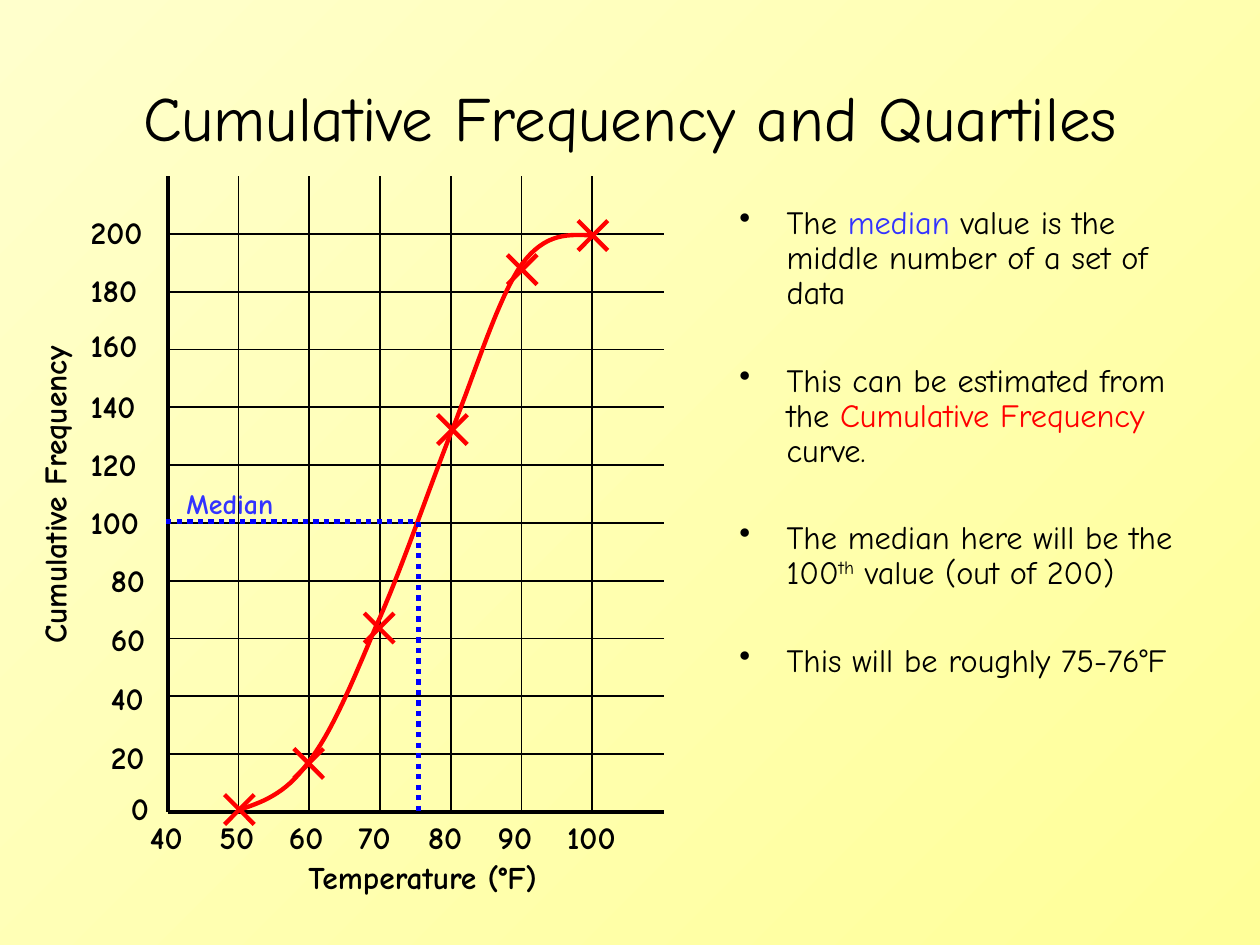
from dataclasses import dataclass

from lxml.etree import SubElement
from pptx import Presentation
from pptx.dml.color import RGBColor as Color
from pptx.enum.dml import MSO_LINE_DASH_STYLE as Dash
from pptx.enum.shapes import MSO_CONNECTOR as Connector
from pptx.enum.text import MSO_ANCHOR as Anchor, PP_ALIGN as Align
from pptx.oxml.ns import qn
from pptx.util import Pt


@dataclass(frozen=True)
class Theme:
    font: str = "Comic Neue"
    ink: str = "000000"
    curve: str = "FF0000"
    guide: str = "0000FF"
    median: str = "3333FF"
    paper: tuple = ("FFFFCC", "FFFF99")
    title_size: float = 36
    body_size: float = 18.5
    label_size: float = 18
    note_size: float = 16
    grid_width: float = 1
    axis_width: float = 2.25
    curve_width: float = 2.5
    guide_width: float = 3


class Page:
    def __init__(self, slide, theme):
        self.slide = slide
        self.theme = theme

    def background(self):
        fill = self.slide.background.fill
        fill.gradient()
        fill.gradient_angle = 315
        for stop, position, color in zip(fill.gradient_stops, (0, 1), self.theme.paper):
            stop.position = position
            stop.color.rgb = Color.from_string(color)

    def style(self, para, size, color, bold=False):
        font = para.font
        font.name, font.size, font.bold = self.theme.font, Pt(size), bold
        font.color.rgb = Color.from_string(color)

    def frame(self, left, top, width, height):
        box = self.slide.shapes.add_textbox(Pt(left), Pt(top), Pt(width), Pt(height))
        box.text_frame.word_wrap = True
        return box.text_frame

    def text(self, words, area, size, color, bold=True, align=Align.LEFT,
             anchor=Anchor.TOP, upward=False):
        frame = self.frame(*area)
        frame.vertical_anchor = anchor
        if upward:
            frame._txBody.bodyPr.set("vert", "vert270")
        para = frame.paragraphs[0]
        para.text = words
        para.alignment = align
        self.style(para, size, color, bold)

    def bullets(self, items, area):
        frame = self.frame(*area)
        for index, spans in enumerate(items):
            para = frame.add_paragraph() if index else frame.paragraphs[0]
            properties = para._p.get_or_add_pPr()
            properties.set("marL", str(Pt(27)))
            properties.set("indent", str(-Pt(27)))
            bullet_color = SubElement(properties, qn("a:buClr"))
            SubElement(bullet_color, qn("a:srgbClr"), val=self.theme.ink)
            SubElement(properties, qn("a:buChar"), char="•")
            para.line_spacing = 0.9
            if index:
                para.space_before = Pt(30)
            self.style(para, self.theme.body_size, self.theme.ink)
            for words, color, raised in spans:
                span = para.add_run()
                span.text = words
                if color:
                    span.font.color.rgb = Color.from_string(color)
                if raised:
                    span._r.get_or_add_rPr().set("baseline", "30000")

    def line(self, start, end, color, width, dash=None, shapes=None):
        shapes = shapes or self.slide.shapes
        connector = shapes.add_connector(Connector.STRAIGHT, *map(Pt, (*start, *end)))
        connector.line.color.rgb = Color.from_string(color)
        connector.line.width = Pt(width)
        if dash:
            connector.line.dash_style = dash
        SubElement(connector._element.spPr, qn("a:effectLst"))

    def cross(self, x, y, reach=8.5):
        shapes = self.slide.shapes.add_group_shape().shapes
        for rise in (reach, -reach):
            self.line((x - reach, y - rise), (x + reach, y + rise),
                      self.theme.curve, self.theme.curve_width, shapes=shapes)

    def curve(self, start, segments, steps=16):
        points = []
        current = start
        for first, second, end in segments:
            for step in range(1, steps + 1):
                t = step / steps
                weights = ((1 - t) ** 3, 3 * t * (1 - t) ** 2, 3 * t * t * (1 - t), t ** 3)
                corners = (current, first, second, end)
                points.append(tuple(
                    Pt(sum(weight * corner[axis] for weight, corner in zip(weights, corners)))
                    for axis in (0, 1)))
            current = end
        builder = self.slide.shapes.build_freeform(*map(Pt, start))
        builder.add_line_segments(points, close=False)
        shape = builder.convert_to_shape()
        shape.shadow.inherit = False
        shape.fill.background()
        shape.line.color.rgb = Color.from_string(self.theme.curve)
        shape.line.width = Pt(self.theme.curve_width)


def draw_grid(page):
    theme = page.theme
    left, top, right, bottom = 95.8, 100.8, 379.4, 463.8
    for row in range(11):
        y = bottom - 33 * row
        width = theme.grid_width if row else theme.axis_width
        page.line((left, y), (right, y), theme.ink, width)
    for column in range(7):
        x = left + 40.45 * column
        width = theme.grid_width if column else theme.axis_width
        page.line((x, top), (x, bottom), theme.ink, width)


def draw_labels(page):
    theme = page.theme

    def label_width(words):
        return 16.5 + 11.5 * len(words)

    tops = (447.1, 418.3, 384.5, 350.6, 316.8, 283.7, 250.6, 217.4, 182.9, 151.2, 118.1)
    for row, top in enumerate(tops):
        words = str(20 * row)
        width = label_width(words)
        page.text(words, (95.7 - width, top, width, 29), theme.label_size, theme.ink)
    for column in range(7):
        words = str(40 + 10 * column)
        area = (78.5 + 39.75 * column, 463.7, label_width(words), 29)
        page.text(words, area, theme.label_size, theme.ink)
    page.text("Cumulative Frequency", (16.6, 180.7, 36, 203.8), theme.label_size,
              theme.ink, align=Align.CENTER, upward=True)
    page.text("Temperature (°F)", (169.2, 486.7, 187.2, 29), theme.label_size, theme.ink)


def draw_curve(page):
    readings = ((136.8, 462.6), (176.4, 436.3), (216.7, 358.9),
                (258.5, 245.5), (298.4, 154.1), (338.8, 134.6))
    for x, y in readings:
        page.cross(x, y)
    page.curve((136.1, 463), (
        ((149, 458.6), (162.7, 454.3), (175.7, 436.3)),
        ((189.4, 419), (200.9, 391), (214.6, 358.6)),
        ((229, 326.9), (244.8, 280.1), (258.5, 245.5)),
        ((272.2, 211), (285.1, 169.2), (298.1, 151.2)),
        ((311.8, 132.5), (325.4, 133.9), (339.8, 134.6)),
    ))


def draw_median(page):
    theme = page.theme
    corner = (239, 298.1)
    for start, end in (((95, 298.1), corner), (corner, (239, 465.1))):
        page.line(start, end, theme.guide, theme.guide_width, Dash.ROUND_DOT)
    page.text("Median", (99.4, 274.3, 71.3, 26.6), theme.note_size, theme.median)


def main():
    theme = Theme()
    deck = Presentation()
    deck.slide_width, deck.slide_height = Pt(720), Pt(540)
    page = Page(deck.slides.add_slide(deck.slide_layouts[6]), theme)
    page.background()
    page.text("Cumulative Frequency and Quartiles", (36, 21.6, 648, 90), theme.title_size,
              theme.ink, bold=False, align=Align.CENTER, anchor=Anchor.MIDDLE)
    page.bullets((
        (("The ", None, False), ("median", theme.median, False),
         (" value is the middle number of a set of data", None, False)),
        (("This can be estimated from the ", None, False),
         ("Cumulative Frequency", theme.curve, False), (" curve.", None, False)),
        (("The median here will be the 100", None, False), ("th", None, True),
         (" value (out of 200)", None, False)),
        (("This will be roughly 75-76°F", None, False),),
    ), (415.4, 114.5, 268.6, 356.4))
    draw_grid(page)
    draw_labels(page)
    draw_curve(page)
    draw_median(page)
    deck.save("out.pptx")


if __name__ == "__main__":
    main()
